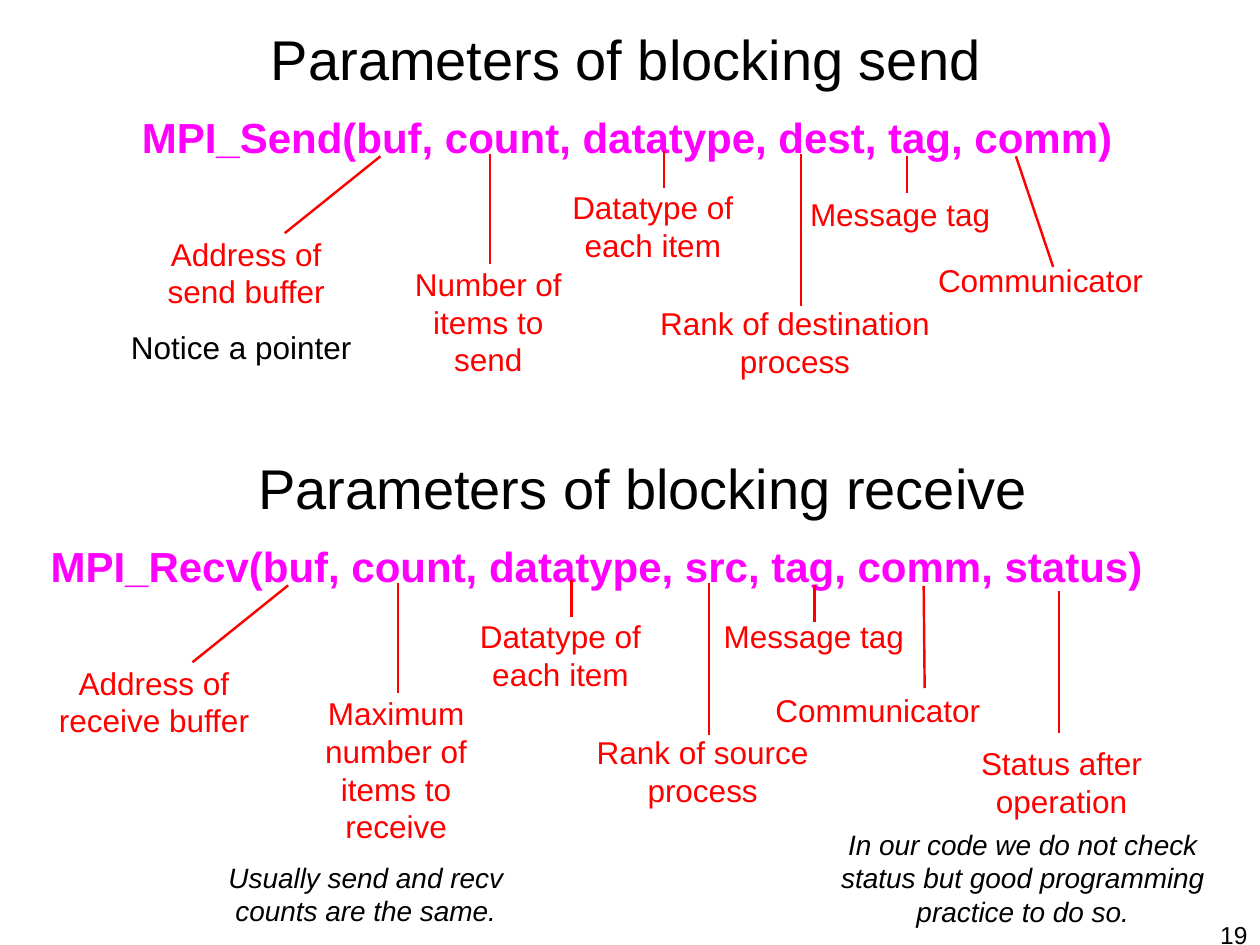
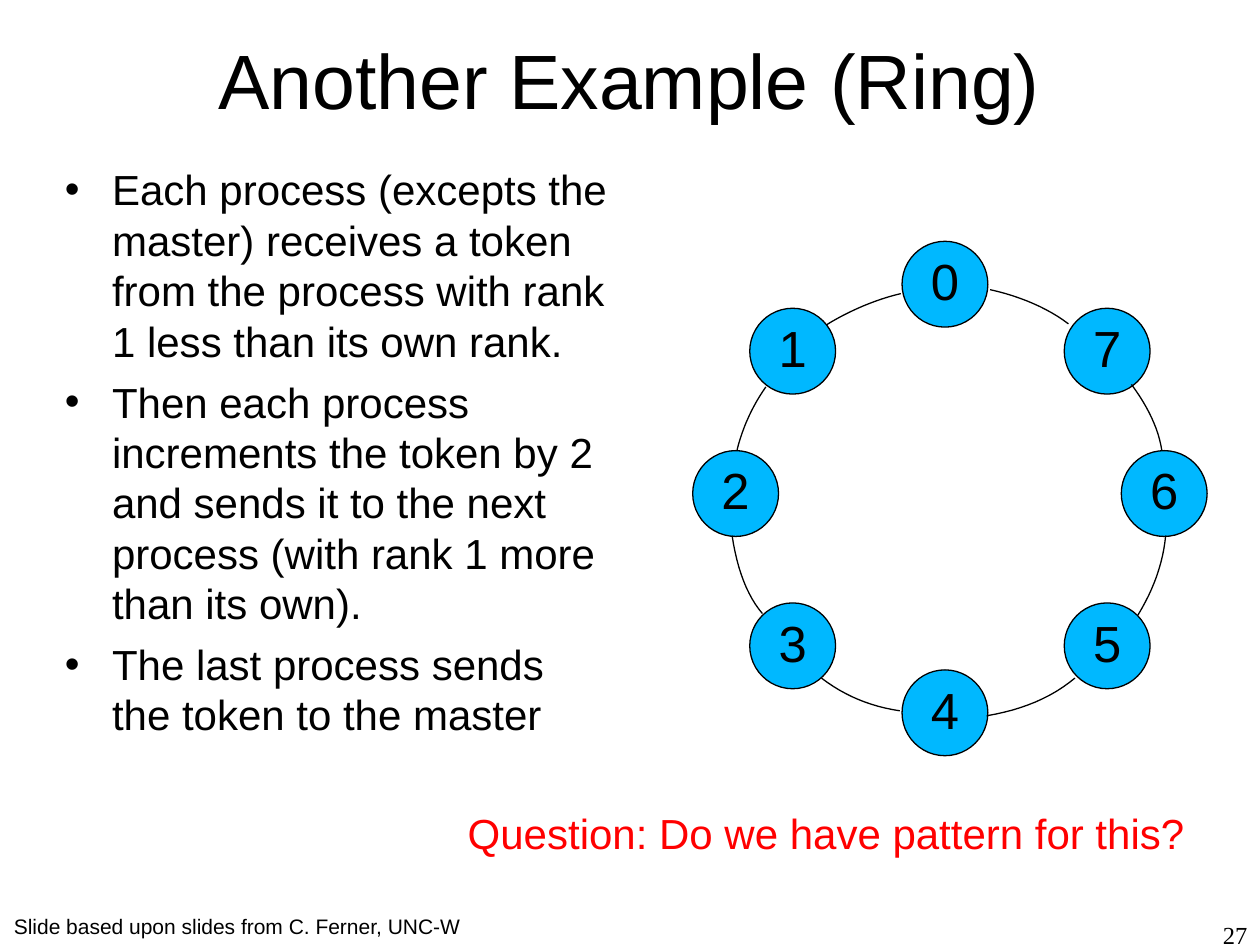
from dataclasses import dataclass, replace
from typing import NamedTuple

from lxml.etree import SubElement
from pptx import Presentation
from pptx.dml.color import RGBColor
from pptx.enum.shapes import MSO_CONNECTOR, MSO_SHAPE
from pptx.enum.text import MSO_ANCHOR, MSO_AUTO_SIZE, PP_ALIGN
from pptx.oxml.ns import qn
from pptx.slide import Slide
from pptx.util import Cm, Pt

BLACK = RGBColor(0x00, 0x00, 0x00)
RED = RGBColor(0xFF, 0x00, 0x00)
MAGENTA = RGBColor(0xFF, 0x00, 0xFF)
SKY_BLUE = RGBColor(0x00, 0xB8, 0xFF)

LINE_HEIGHT = 0.76  # cm, one 18 pt label line
NODE_DIAMETER = 1.73
ARC_STEPS = 12
BULLET_INDENT = Cm(0.95)


class Box(NamedTuple):
    """Left, top, width and height in centimetres."""
    left: float
    top: float
    width: float
    height: float


class Point(NamedTuple):
    x: float
    y: float


@dataclass(frozen=True)
class Callout:
    """A parameter's explanation and the line that leads to it."""
    text: str
    left: float
    top: float
    width: float
    start: Point
    end: Point
    lines: int = 2
    align: PP_ALIGN = PP_ALIGN.CENTER

    def shifted(self, text: str, lines: int) -> "Callout":
        return replace(
            self, text=text, lines=lines,
            left=self.left + RECEIVE_SHIFT.x, top=self.top + RECEIVE_SHIFT.y,
            start=Point(self.start.x + RECEIVE_SHIFT.x, self.start.y + RECEIVE_SHIFT.y),
            end=Point(self.end.x + RECEIVE_SHIFT.x, self.end.y + RECEIVE_SHIFT.y))


class Arc(NamedTuple):
    start: Point
    middle: Point
    end: Point


# Parameters of the send call
SEND_CALLOUTS = [
    Callout("Address of send buffer", 2.87, 4.73, 4.19, Point(7.67, 3.15), Point(5.74, 4.7)),
    Callout("Number of items to send", 8.18, 5.34, 3.33,
            Point(9.88, 3.1), Point(9.88, 5.33), lines=3),
    Callout("Datatype of each item", 11.51, 3.79, 3.3, Point(13.38, 3.05), Point(13.38, 3.78)),
    Callout("Rank of destination process", 13.14, 6.13, 5.77,
            Point(16.15, 3.1), Point(16.15, 6.17)),
    Callout("Message tag", 16.33, 3.94, 3.8, Point(18.28, 3.15), Point(18.28, 3.89),
            lines=1, align=PP_ALIGN.LEFT),
    Callout("Communicator", 18.91, 5.26, 4.39, Point(20.48, 3.15), Point(21.23, 5.38),
            lines=1, align=PP_ALIGN.LEFT),
]

# The receive call repeats the first five, moved down and left
RECEIVE_SHIFT = Point(-1.86, 8.65)
RECEIVE_LABELS = [
    ("Address of receive buffer", 2),
    ("Maximum number of items to receive", 4),
    ("Datatype of each item", 2),
    ("Rank of source process", 2),
    ("Message tag", 1),
]
*RECEIVE_SHARED, RECEIVE_TAG = [
    callout.shifted(text, lines)
    for callout, (text, lines) in zip(SEND_CALLOUTS, RECEIVE_LABELS)
]
RECEIVE_CALLOUTS = RECEIVE_SHARED + [
    replace(RECEIVE_TAG, left=14.59, top=12.44),
    Callout("Communicator", 15.63, 13.94, 4.39, Point(18.62, 11.81), Point(18.64, 13.87),
            lines=1, align=PP_ALIGN.LEFT),
    Callout("Status after operation", 18.9, 15, 5, Point(21.35, 11.91), Point(21.35, 14.78)),
]

# Ring: centres in rank order, and the arcs between neighbours
RING_CENTRES = [
    Point(19.05, 5.73), Point(15.98, 7.08), Point(14.83, 9.95), Point(15.98, 13.02),
    Point(19.05, 14.37), Point(22.32, 13.02), Point(23.47, 9.95), Point(22.32, 7.08),
]
RING_ARCS = [
    Arc(Point(19.96, 5.84), Point(20.83, 6.12), Point(21.54, 6.53)),
    Arc(Point(22.81, 7.75), Point(23.22, 8.43), Point(23.42, 9.07)),
    Arc(Point(23.5, 10.8), Point(23.32, 11.61), Point(22.94, 12.4)),
    Arc(Point(21.67, 13.67), Point(20.88, 14.15), Point(19.89, 14.43)),
    Arc(Point(18.14, 14.33), Point(17.3, 14.1), Point(16.56, 13.67)),
    Arc(Point(15.37, 12.37), Point(14.99, 11.71), Point(14.76, 10.8)),
    Arc(Point(14.86, 9.07), Point(15.09, 8.41), Point(15.44, 7.8)),
    Arc(Point(16.66, 6.55), Point(17.4, 6.17), Point(18.16, 5.92)),
]
RING_STEPS = [
    "Each process (excepts the master) receives a token from the process "
    "with rank 1 less than its own rank.",
    "Then each process increments the token by 2 and sends it to the next process "
    "(with rank 1 more than its own).",
    "The last process sends the token to the master",
]


def add_text(slide: Slide, text: str, box: Box, *, size: float = 18,
             color: RGBColor = BLACK, font: str = "Arial", bold: bool = False,
             italic: bool = False, align: PP_ALIGN = PP_ALIGN.LEFT,
             anchor: MSO_ANCHOR = MSO_ANCHOR.TOP, wrap: bool = True,
             padded: bool = True, bullets: bool = False) -> None:
    """Add a text box; each line of the text is a paragraph."""
    frame = slide.shapes.add_textbox(*map(Cm, box)).text_frame
    frame.word_wrap = wrap
    frame.vertical_anchor = anchor
    frame.auto_size = MSO_AUTO_SIZE.NONE if wrap else MSO_AUTO_SIZE.SHAPE_TO_FIT_TEXT
    if not padded:
        frame.margin_left = frame.margin_right = frame.margin_top = frame.margin_bottom = 0
    frame.text = text
    for paragraph in frame.paragraphs:
        paragraph.alignment = align
        style = paragraph.runs[0].font
        style.name, style.size, style.bold, style.italic = font, Pt(size), bold, italic
        style.color.rgb = color
        if bullets:
            paragraph.space_before = Pt(6)
            properties = paragraph._p.get_or_add_pPr()
            properties.set("marL", str(BULLET_INDENT))
            properties.set("indent", str(-BULLET_INDENT))
            SubElement(properties, qn("a:buFont"), typeface="Arial")
            SubElement(properties, qn("a:buChar"), char="•")


def add_title(slide: Slide, text: str, left: float, top: float,
              width: float = 21.59, size: float = 32) -> None:
    add_text(slide, text, Box(left, top, width, 3.18), size=size,
             align=PP_ALIGN.CENTER, anchor=MSO_ANCHOR.MIDDLE)


def add_page_number(slide: Slide, number: int, font: str) -> None:
    add_text(slide, str(number), Box(20.12, 18.42, 5.28, 1.27), size=14,
             font=font, align=PP_ALIGN.RIGHT)


def add_signature(slide: Slide, text: str, left: float, top: float, width: float) -> None:
    add_text(slide, text, Box(left, top, width, 1.02), size=24, color=MAGENTA,
             bold=True, wrap=False, padded=False)


def add_callout(slide: Slide, callout: Callout) -> None:
    box = Box(callout.left, callout.top, callout.width, callout.lines * LINE_HEIGHT)
    add_text(slide, callout.text, box, color=RED, align=callout.align, padded=False)
    leader = slide.shapes.add_connector(
        MSO_CONNECTOR.STRAIGHT, *map(Cm, callout.start + callout.end))
    leader.line.color.rgb = RED
    leader.line.width = Pt(1.39)
    SubElement(leader._element.spPr, qn("a:effectLst"))


def add_node(slide: Slide, rank: int, centre: Point) -> None:
    radius = NODE_DIAMETER / 2
    node = slide.shapes.add_shape(
        MSO_SHAPE.OVAL, Cm(centre.x - radius), Cm(centre.y - radius),
        Cm(NODE_DIAMETER), Cm(NODE_DIAMETER))
    node.shadow.inherit = False
    node.fill.solid()
    node.fill.fore_color.rgb = SKY_BLUE
    node.line.color.rgb = BLACK
    node.line.width = Pt(0.75)
    frame = node.text_frame
    frame.vertical_anchor = MSO_ANCHOR.MIDDLE
    frame.text = str(rank)
    paragraph = frame.paragraphs[0]
    paragraph.alignment = PP_ALIGN.CENTER
    paragraph.line_spacing = 0.89
    style = paragraph.runs[0].font
    style.name, style.size = "Arial", Pt(29)
    style.color.rgb = BLACK


def add_arc(slide: Slide, arc: Arc) -> None:
    """Draw a quadratic curve through the three points of the arc."""
    def at(step: int) -> tuple[int, int]:
        t = step / ARC_STEPS
        weights = (1 - t) * (1 - 2 * t), 4 * t * (1 - t), t * (2 * t - 1)
        return (Cm(sum(w * point.x for w, point in zip(weights, arc))),
                Cm(sum(w * point.y for w, point in zip(weights, arc))))

    builder = slide.shapes.build_freeform(*at(0))
    builder.add_line_segments([at(step) for step in range(1, ARC_STEPS + 1)], close=False)
    curve = builder.convert_to_shape()
    curve.shadow.inherit = False
    curve.fill.background()
    curve.line.color.rgb = BLACK
    curve.line.width = Pt(0.75)


def build_parameters(slide: Slide) -> None:
    add_page_number(slide, 19, "Arial")

    # Blocking send
    add_title(slide, "Parameters of blocking send", 1.83, -0.42)
    add_signature(slide, "MPI_Send(buf, count, datatype, dest, tag, comm)", 2.86, 2.25, 19.58)
    add_text(slide, "Notice a pointer", Box(2.39, 6.48, 4.95, 1.02), wrap=False)

    # Blocking receive
    add_title(slide, "Parameters of blocking receive", 0.58, 8.23, width=24.77)
    add_signature(slide, "MPI_Recv(buf, count, datatype, src, tag, comm, status)",
                  1.02, 10.9, 22.02)
    for callout in SEND_CALLOUTS + RECEIVE_CALLOUTS:
        add_callout(slide, callout)

    # Remarks
    for remark, box in (
        ("In our code we do not check status but good programming practice to do so.",
         Box(16.43, 16.55, 8.38, 2.29)),
        ("Usually send and recv counts are the same.", Box(3.58, 17.22, 7.59, 1.63)),
    ):
        add_text(slide, remark, box, size=16, italic=True, align=PP_ALIGN.CENTER)


def build_ring(slide: Slide) -> None:
    add_title(slide, "Another Example (Ring)", 1.9, 0, size=44)
    add_text(slide, "\n".join(RING_STEPS), Box(1.06, 3.18, 11.52, 14.17), size=24, bullets=True)
    add_page_number(slide, 27, "Times New Roman")
    add_text(slide, "Slide based upon slides from C. Ferner, UNC-W",
             Box(0.03, 18.29, 9.53, 0.76), size=12, wrap=False)

    # Ring of processes
    for rank, centre in enumerate(RING_CENTRES):
        add_node(slide, rank, centre)
    for arc in RING_ARCS:
        add_arc(slide, arc)

    add_text(slide, "Question: Do we have pattern for this?",
             Box(9.18, 16.16, 14.96, 1.27), size=24, color=RED, wrap=False)


def main() -> None:
    deck = Presentation()
    deck.slide_width, deck.slide_height = Cm(25.4), Cm(19.05)
    blank = deck.slide_layouts[6]
    for build in (build_parameters, build_ring):
        build(deck.slides.add_slide(blank))
    deck.save("out.pptx")


if __name__ == "__main__":
    main()
